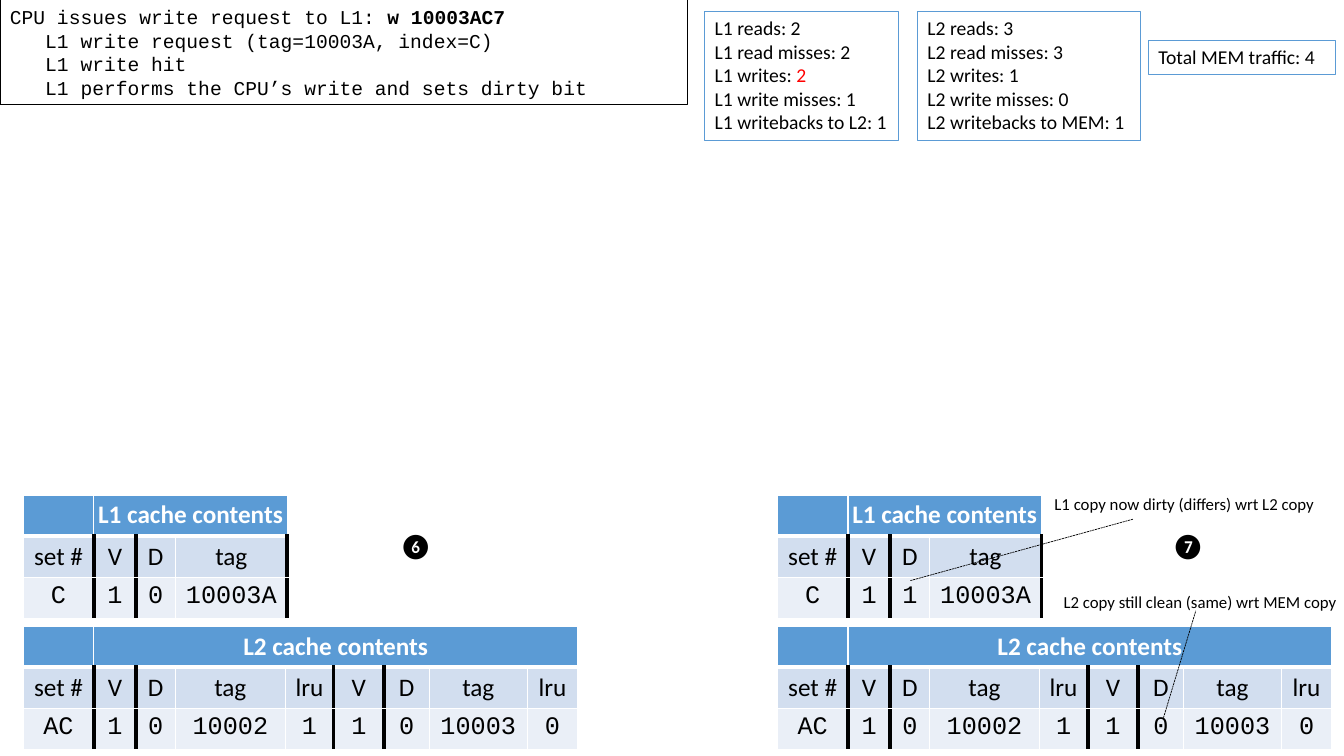
from lxml.etree import SubElement
from pptx import Presentation
from pptx.dml.color import RGBColor
from pptx.enum.dml import MSO_LINE
from pptx.enum.shapes import MSO_CONNECTOR
from pptx.enum.text import MSO_AUTO_SIZE, PP_ALIGN
from pptx.oxml.ns import qn
from pptx.util import Emu, Pt

PX = 9144
SLIDE_SIZE = (1333, 750)
BODY, CODE = "Calibri", "Courier New"
BLACK, WHITE, RED, BLUE = "000000", "FFFFFF", "FF0000", "5B9BD5"
ROW_FILLS = [BLUE, "D2DEEF", "EAEFF7"]
ROW_HEIGHT = 41

REQUEST = [
    [("CPU issues write request to L1: ", {}), ("w 10003AC7", {"bold": True})],
    [("L1 write request (tag=10003A, index=C)", {})],
    [("L1 write hit", {})],
    [("L1 performs the CPU’s write and sets dirty bit", {})],
]
REQUEST_INDENT = 35

COUNTERS = [
    ((699, 11, 192, 128), False, [
        [("L1 reads: 2", {})],
        [("L1 read misses: 2", {})],
        [("L1 writes: ", {}), ("2", {"color": RED})],
        [("L1 write misses: 1", {})],
        [("L1 writebacks to L2: 1", {})],
    ]),
    ((910, 11, 221, 128), True, [
        [("L2 reads: 3", {})],
        [("L2 read misses: 3", {})],
        [("L2 writes: 1", {})],
        [("L2 write misses: 0", {})],
        [("L2 writebacks to MEM: 1", {})],
    ]),
    ((1139, 40, 186, 34), False, [[("Total MEM traffic: 4", {})]]),
]

CACHES = {
    "L1": {
        "top": 491, "widths": [70, 42, 39, 111], "thick": {1, 2, 4}, "margin": 0,
        "labels": ["set #", "V", "D", "tag"],
    },
    "L2": {
        "top": 621, "widths": [70, 42, 39, 109, 48, 50, 45, 97, 50],
        "thick": {1, 2, 5, 6}, "margin": 10,
        "labels": ["set #", "V", "D", "tag", "lru", "V", "D", "tag", "lru"],
    },
}
L2_LINE = ["AC", "1", "0", "10002", "1", "1", "0", "10003", "0"]
STEPS = [
    {"left": 23, "L1": ["C", "1", "0", "10003A"], "L2": L2_LINE, "mark": ("❻", 386)},
    {"left": 771, "L1": ["C", "1", "1", "10003A"], "L2": L2_LINE, "mark": ("❼", 1152)},
]

NOTES = [
    ("L1 copy now dirty (differs) wrt L2 copy", (1036, 485, 281, 30), (903, 576, 1124, 515)),
    ("L2 copy still clean (same) wrt MEM copy", (1045, 582, 294, 30), (1154, 712, 1186, 606)),
]


def px(*lengths):
    return [Emu(length * PX) for length in lengths]


def rgb(color):
    return RGBColor.from_string(color)


def add_run(paragraph, text, size, name=BODY, color=BLACK, bold=False):
    run = paragraph.add_run()
    run.text = text
    for key, value in {"size": Pt(size), "name": name, "bold": bold}.items():
        setattr(run.font, key, value)
    run.font.color.rgb = rgb(color)


def add_text(shapes, box, lines, size, name=BODY, outline=None, wrap=False, indent=0):
    shape = shapes.add_textbox(*px(*box))
    frame = shape.text_frame
    for key, value in {"word_wrap": wrap, "auto_size": MSO_AUTO_SIZE.SHAPE_TO_FIT_TEXT}.items():
        setattr(frame, key, value)
    if outline:
        shape.line.color.rgb = rgb(outline)
        shape.line.width = Pt(0.75)
    for number, line in enumerate(lines):
        paragraph = frame.add_paragraph() if number else frame.paragraphs[0]
        if number and indent:
            paragraph._p.get_or_add_pPr().set("marL", str(indent * PX))
        for text, style in line:
            add_run(paragraph, text, size, **{"name": name, **style})


def set_borders(cell, borders):
    properties = cell._tc.get_or_add_tcPr()
    for side, (color, width) in borders.items():
        line = SubElement(properties, qn(f"a:ln{side}"), w=str(Pt(width)))
        SubElement(SubElement(line, qn("a:solidFill")), qn("a:srgbClr"), val=color)


def add_cache(slide, name, left, values):
    cache = CACHES[name]
    widths = cache["widths"]
    rows = [["", f"{name} cache contents"] + [""] * (len(widths) - 2), cache["labels"], values]
    box = px(left, cache["top"], sum(widths), ROW_HEIGHT * len(rows))
    table = slide.shapes.add_table(len(rows), len(widths), *box).table
    table.first_row = table.horz_banding = False
    for column, width in zip(table.columns, widths):
        column.width = Emu(width * PX)

    def vertical(row, edge):
        return (BLACK, 3) if row and edge in cache["thick"] else (WHITE, 1)

    def horizontal(edge):
        return WHITE, 3 if edge == 1 else 1

    for r, texts in enumerate(rows):
        for c, text in enumerate(texts):
            cell = table.cell(r, c)
            set_borders(cell, {"L": vertical(r, c), "R": vertical(r, c + 1),
                               "T": horizontal(r), "B": horizontal(r + 1)})
            cell.fill.solid()
            cell.fill.fore_color.rgb = rgb(ROW_FILLS[r])
            paragraph = cell.text_frame.paragraphs[0]
            paragraph.alignment = PP_ALIGN.CENTER
            if text:
                add_run(paragraph, text, 18, CODE if r == 2 else BODY,
                        BLACK if r else WHITE, r == 0)
    title = table.cell(0, 1)
    title.margin_left = title.margin_right = Emu(cache["margin"] * PX)
    title.merge(table.cell(0, len(widths) - 1))


def add_pointer(slide, ends):
    pointer = slide.shapes.add_connector(MSO_CONNECTOR.STRAIGHT, *px(*ends))
    pointer.line.color.rgb = rgb(BLACK)
    pointer.line.width = Pt(0.5)
    pointer.line.dash_style = MSO_LINE.SQUARE_DOT
    SubElement(pointer._element.spPr, qn("a:effectLst"))


def main():
    """Build the slide showing a write hit in a two-level cache."""
    presentation = Presentation()
    presentation.slide_width, presentation.slide_height = px(*SLIDE_SIZE)
    slide = presentation.slides.add_slide(presentation.slide_layouts[6])
    add_text(slide.shapes, (0, 0, 682, 104), REQUEST, 14, CODE, BLACK, True, REQUEST_INDENT)
    for step in STEPS:
        for name in ("L2", "L1"):
            add_cache(slide, name, step["left"], step[name])
        mark, left = step["mark"]
        add_text(slide.shapes, (left, 521, 54, 40), [[(mark, {})]], 18)
    counters = slide.shapes.add_group_shape().shapes
    for box, wrap, lines in COUNTERS:
        add_text(counters, box, lines, 14, outline=BLUE, wrap=wrap)
    for text, box, ends in NOTES:
        add_pointer(slide, ends)
        add_text(slide.shapes, box, [[(text, {})]], 12)
    presentation.save("out.pptx")


if __name__ == "__main__":
    main()
